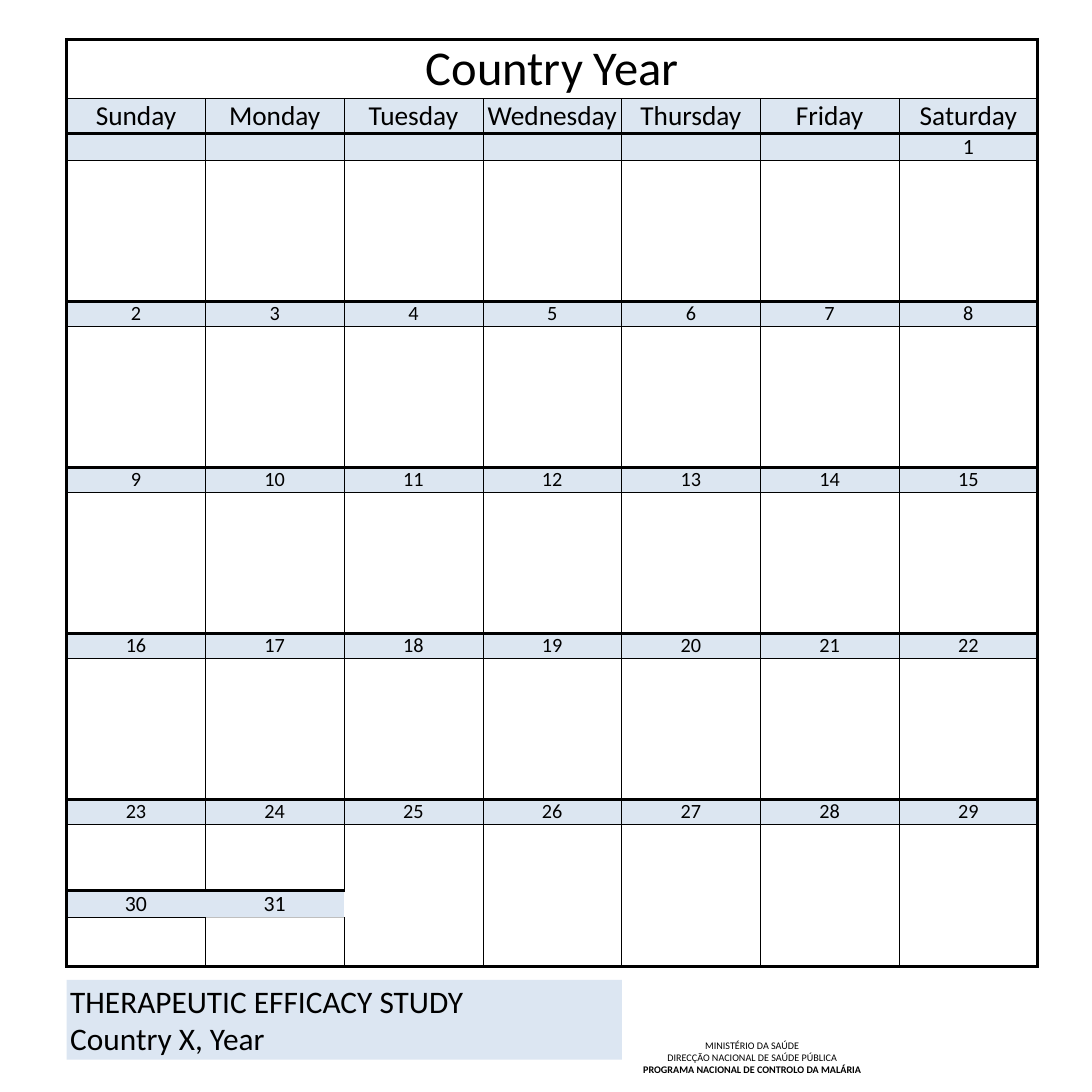
import pptx
import pptx.util
import pptx.dml.color
import pptx.enum.shapes
import pptx.enum.text
import pptx.oxml.ns
from lxml import etree

Cm = pptx.util.Cm
Pt = pptx.util.Pt
RGBColor = pptx.dml.color.RGBColor
ALIGN = pptx.enum.text.PP_ALIGN
ANCHOR = pptx.enum.text.MSO_ANCHOR

BLACK = RGBColor(0x00, 0x00, 0x00)
GRAY = RGBColor(0xBF, 0xBF, 0xBF)
HEADER_BLUE = RGBColor(0xDC, 0xE6, 0xF1)
BLUE = RGBColor(0xDC, 0xE6, 0xF2)

THIN = (0.5, BLACK)
THICK = (6, BLACK)
PALE = (1, GRAY)

DAYS = ["Sunday", "Monday", "Tuesday", "Wednesday", "Thursday", "Friday", "Saturday"]
COL_WIDTH = 9.68
ROW_HEIGHTS = [3.43, 2.46, 1.7, 9.86] + [1.65, 9.86] * 3 + [1.65, 4.65, 1.57, 3.45]
LAST = len(ROW_HEIGHTS) - 1
EXTRA_DATES = LAST - 1  # row holding the dates 30 and 31


def style_paragraph(p, size, align, bold=False):
    p.alignment = align
    p.font.size = Pt(size)
    p.font.name = "Calibri"
    p.font.bold = bold
    p.font.color.rgb = BLACK


def set_border(cell, side, border):
    ln = etree.SubElement(cell._tc.get_or_add_tcPr(), pptx.oxml.ns.qn("a:ln" + side))
    if border is None:
        etree.SubElement(ln, pptx.oxml.ns.qn("a:noFill"))
        return
    width, color = border
    ln.set("w", str(int(Pt(width))))
    fill = etree.SubElement(ln, pptx.oxml.ns.qn("a:solidFill"))
    etree.SubElement(fill, pptx.oxml.ns.qn("a:srgbClr")).set("val", str(color))


def vertical_edge(row, edge):
    if edge in (0, len(DAYS)):
        return THICK
    if row == 0 or (row == EXTRA_DATES and edge <= 2):
        return None
    return THIN


def horizontal_edge(edge, col):
    if edge == LAST and col >= 2:
        return None
    if edge == LAST and col == 1:
        return PALE
    return THIN if edge % 2 else THICK


def cell_borders(cell, row, col):
    right = THICK if row == 0 and col == 0 else vertical_edge(row, col + 1)
    inside_merge = cell.is_spanned and row > 0
    set_border(cell, "L", vertical_edge(row, col))
    set_border(cell, "R", right)
    set_border(cell, "T", None if inside_merge else horizontal_edge(row, col))
    set_border(cell, "B", horizontal_edge(row + 1, col))


def cell_text(row, col):
    """Return the text of a cell and its size."""
    if row == 0:
        return ("Country Year" if col == 0 else ""), 96
    if row == 1:
        return DAYS[col], 54
    if row % 2:
        return "", 40
    # The first Saturday is day 1
    day = (row - 2) // 2 * 7 + col - 5
    return (str(day) if 1 <= day <= 31 else ""), (43 if row in (2, EXTRA_DATES) else 40)


def cell_fill(cell, row, col):
    if row == 1 or (row > 0 and row % 2 == 0 and not cell.is_spanned):
        cell.fill.solid()
        cell.fill.fore_color.rgb = BLUE if row == EXTRA_DATES else HEADER_BLUE
    else:
        cell.fill.background()


def add_calendar(s):
    frame = s.shapes.add_table(len(ROW_HEIGHTS), len(DAYS), Cm(4.65), Cm(2.74),
                               Cm(COL_WIDTH * len(DAYS)), Cm(sum(ROW_HEIGHTS)))
    table = frame.table
    table.first_row = False
    table.horz_banding = False
    for column in table.columns:
        column.width = Cm(COL_WIDTH)
    for row, height in zip(table.rows, ROW_HEIGHTS):
        row.height = Cm(height)

    # Title across the week, and tall boxes for the days 25 to 29
    table.cell(0, 0).merge(table.cell(0, len(DAYS) - 1))
    for col in range(2, len(DAYS)):
        table.cell(LAST - 2, col).merge(table.cell(LAST, col))

    for row in range(len(ROW_HEIGHTS)):
        for col in range(len(DAYS)):
            cell = table.cell(row, col)
            cell_borders(cell, row, col)
            cell_fill(cell, row, col)
            text, size = cell_text(row, col)
            if text and not cell.is_spanned:
                cell.margin_left = cell.margin_right = 0
                cell.margin_top = cell.margin_bottom = 0
                cell.vertical_anchor = ANCHOR.MIDDLE
                cell.text_frame.text = text
                style_paragraph(cell.text_frame.paragraphs[0], size, ALIGN.CENTER)


def fill_text(sp, lines, size, align, bold_lines=()):
    tf = sp.text_frame
    tf.word_wrap = True
    tf.text = "\n".join(lines)
    for line, p in zip(lines, tf.paragraphs):
        style_paragraph(p, size, align, line in bold_lines)


def add_ministry(s):
    sp = s.shapes.add_textbox(Cm(44.45), Cm(72.39), Cm(16.08), Cm(2.82))
    program = "PROGRAMA NACIONAL DE CONTROLO DA MALÁRIA"
    lines = ["MINISTÉRIO DA SAÚDE", "DIRECÇÃO NACIONAL DE SAÚDE PÚBLICA", program]
    fill_text(sp, lines, 20, ALIGN.CENTER, [program])


def add_study_label(s):
    sp = s.shapes.add_shape(pptx.enum.shapes.MSO_SHAPE.RECTANGLE,
                            Cm(4.65), Cm(68.38), Cm(38.74), Cm(5.56))
    sp.shadow.inherit = False
    sp.fill.solid()
    sp.fill.fore_color.rgb = BLUE
    sp.line.fill.background()
    sp.text_frame.vertical_anchor = ANCHOR.TOP
    fill_text(sp, ["THERAPEUTIC EFFICACY STUDY", "Country X, Year"], 62, ALIGN.LEFT)


def main():
    prs = pptx.Presentation()
    prs.slide_width = prs.slide_height = Cm(76.2)
    s = prs.slides.add_slide(prs.slide_layouts[6])

    # Month grid
    add_calendar(s)
    # Footer
    add_ministry(s)
    add_study_label(s)

    prs.save("out.pptx")


if __name__ == "__main__":
    main()
